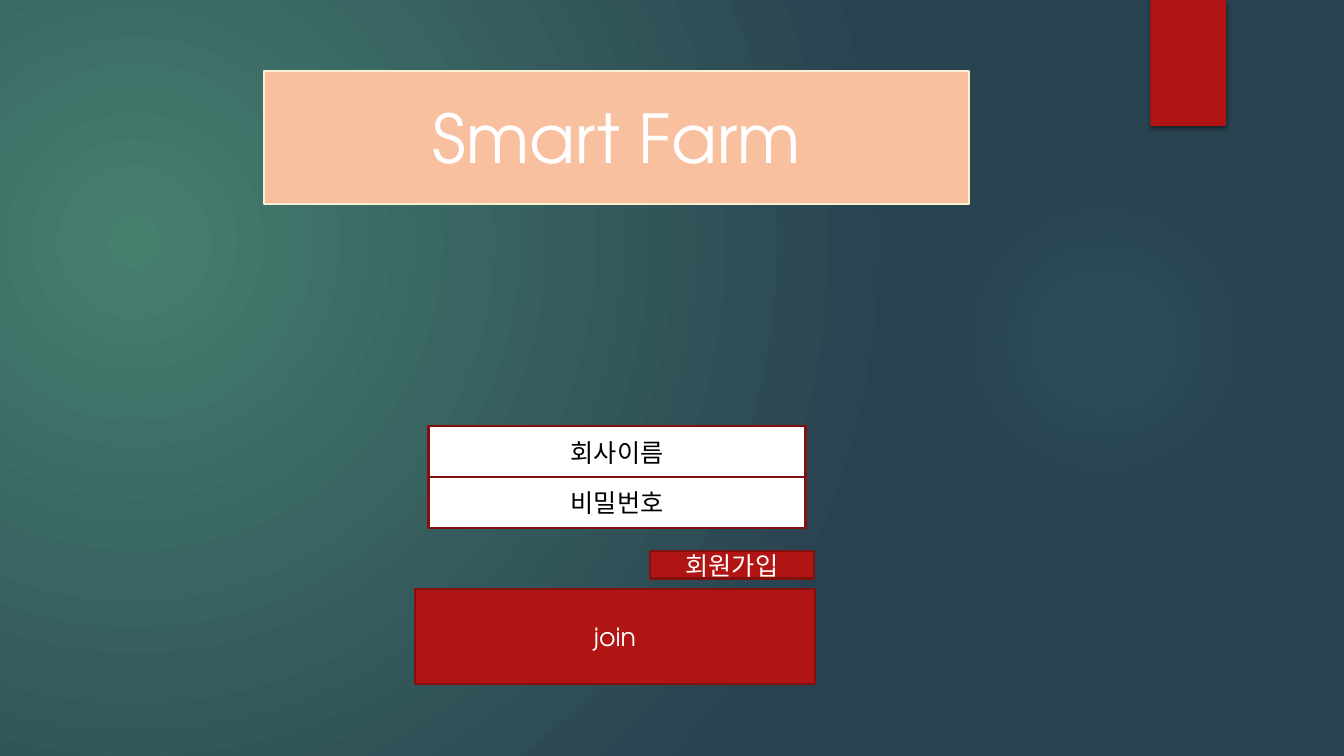
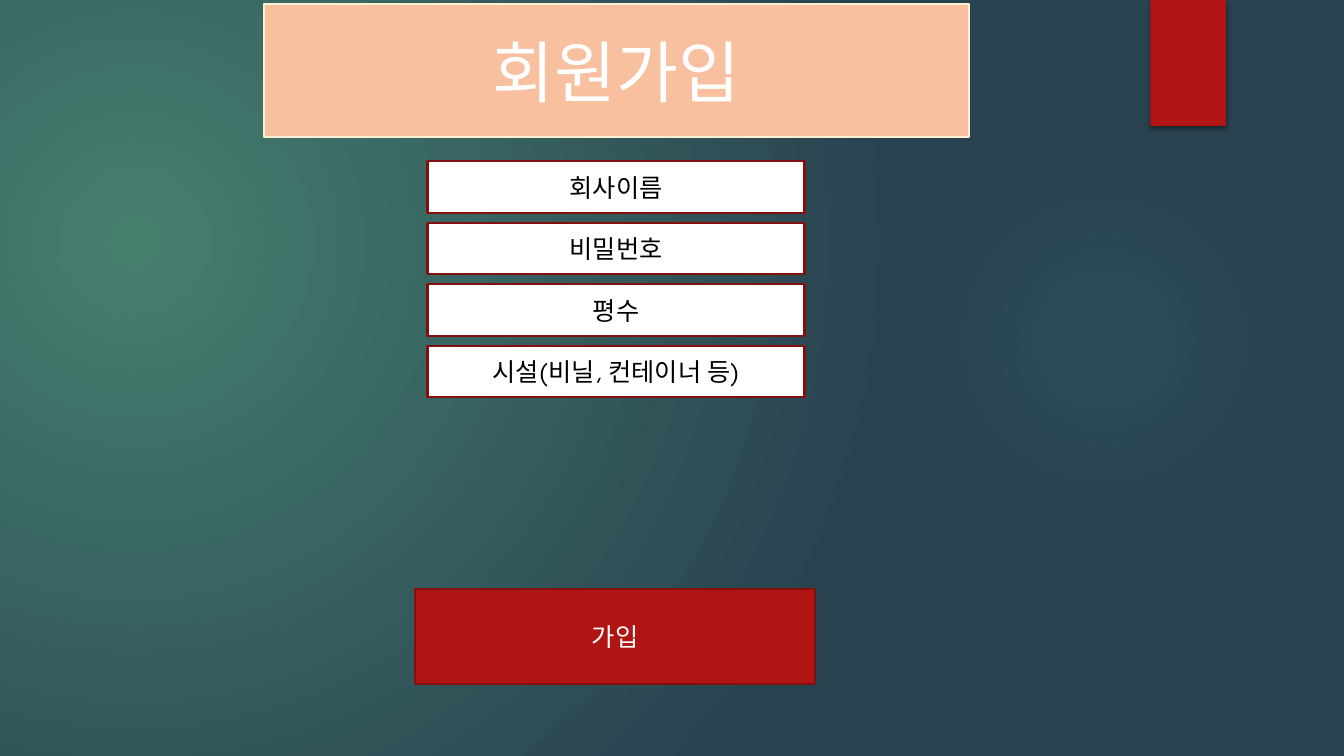
from lxml.etree import SubElement
from pptx import Presentation
from pptx.dml.color import RGBColor
from pptx.enum.shapes import MSO_SHAPE
from pptx.enum.text import MSO_ANCHOR, PP_ALIGN
from pptx.oxml.ns import qn
from pptx.util import Inches, Pt

GREEN = RGBColor(0x45, 0x7F, 0x6E)
NAVY = RGBColor(0x29, 0x42, 0x50)
AQUA = RGBColor(0x50, 0xB9, 0xC1)
RED = RGBColor(0xB0, 0x15, 0x13)
DARK_RED = RGBColor(0x82, 0x10, 0x0E)
PEACH = RGBColor(0xF8, 0xC0, 0x9F)
CREAM = RGBColor(0xFA, 0xF1, 0xD4)
WHITE = RGBColor(0xFF, 0xFF, 0xFF)
BLACK = RGBColor(0x00, 0x00, 0x00)
FONT = "TeX Gyre Adventor"

FIELD_WIDTH, FIELD_HEIGHT = 3.74, 0.51
BUTTON_BOX = (4.12, 5.84, 3.96, 0.95)


def add_color(parent, color, opacity=100):
    element = SubElement(parent, qn("a:srgbClr"), val=str(color))
    if opacity < 100:
        SubElement(element, qn("a:alpha"), val=str(opacity * 1000))


def set_radial_stops(gradient, stops, focus):
    """Refill a gradFill with (position, color, opacity) stops, all in percent."""
    for child in list(gradient):
        gradient.remove(child)
    stop_list = SubElement(gradient, qn("a:gsLst"))
    for position, color, opacity in stops:
        stop = SubElement(stop_list, qn("a:gs"), pos=str(position * 1000))
        add_color(stop, color, opacity)
    circle = SubElement(gradient, qn("a:path"), path="circle")
    edges = {side: str(value * 1000) for side, value in zip("ltrb", focus)}
    SubElement(circle, qn("a:fillToRect"), **edges)


def add_plain_shape(slide, kind, box):
    shape = slide.shapes.add_shape(kind, *map(Inches, box))
    shape.shadow.inherit = False
    shape.line.fill.background()
    return shape


def add_text_box(slide, box, text, *, fill=RED, line=DARK_RED, color=WHITE, size=18):
    """Add an outlined rectangle with centred text."""
    shape = add_plain_shape(slide, MSO_SHAPE.RECTANGLE, box)
    shape.fill.solid()
    shape.fill.fore_color.rgb = fill
    shape.line.color.rgb = line
    shape.line.width = Pt(1.5)
    frame = shape.text_frame
    frame.word_wrap = True
    frame.vertical_anchor = MSO_ANCHOR.MIDDLE
    paragraph = frame.paragraphs[0]
    paragraph.alignment = PP_ALIGN.CENTER
    run = paragraph.add_run()
    run.text = text
    run.font.name = FONT
    run.font.size = Pt(size)
    run.font.color.rgb = color


def set_background(master):
    master.background.fill.gradient()
    gradient = master.element.xpath("p:cSld/p:bg/p:bgPr/a:gradFill")[0]
    set_radial_stops(gradient, [(0, GREEN, 100), (100, NAVY, 100)], (45, 65, 125, 100))


def add_glow(slide):
    glow = add_plain_shape(slide, MSO_SHAPE.OVAL, (9.41, 1.83, 3.08, 3.08))
    glow.fill.gradient()
    gradient = glow.element.spPr.find(qn("a:gradFill"))
    set_radial_stops(gradient, [(0, AQUA, 7), (36, AQUA, 6), (69, AQUA, 0)], (50,) * 4)


def add_ribbon(slide):
    ribbon = add_plain_shape(slide, MSO_SHAPE.RECTANGLE, (11.41, 0, 0.75, 1.25))
    ribbon.fill.solid()
    ribbon.fill.fore_color.rgb = RED
    effects = ribbon.element.spPr.find(qn("a:effectLst"))
    shadow = SubElement(effects, qn("a:outerShdw"), blurRad=str(Pt(3)),
                        dist=str(Pt(2)), dir="5400000", rotWithShape="0")
    add_color(shadow, BLACK, 45)


def add_fields(slide, left, top, pitch, labels):
    """Stack white input fields whose tops lie one pitch apart."""
    for row, label in enumerate(labels):
        box = (left, top + row * pitch, FIELD_WIDTH, FIELD_HEIGHT)
        add_text_box(slide, box, label, fill=WHITE, color=BLACK)


def add_form_slide(presentation, title, title_top, button):
    """Add a slide with the shared decoration, title band and main button."""
    slide = presentation.slides.add_slide(presentation.slide_layouts[6])
    add_glow(slide)
    add_ribbon(slide)
    add_text_box(slide, (2.62, title_top, 6.99, 1.32), title,
                 fill=PEACH, line=CREAM, size=48)
    add_text_box(slide, BUTTON_BOX, button)
    return slide


def add_login_slide(presentation):
    slide = add_form_slide(presentation, "Smart Farm", 0.7, "join")
    add_fields(slide, 4.25, 4.23, 0.5, ["회사이름", "비밀번호"])
    add_text_box(slide, (6.45, 5.47, 1.62, 0.27), "회원가입")


def add_signup_slide(presentation):
    slide = add_form_slide(presentation, "회원가입", 0.04, "가입")
    add_fields(slide, 4.24, 1.6, 0.61,
               ["회사이름", "비밀번호", "평수", "시설(비닐, 컨테이너 등)"])


def main():
    presentation = Presentation()
    presentation.slide_width = Inches(13.33)
    presentation.slide_height = Inches(7.5)
    set_background(presentation.slide_master)
    add_login_slide(presentation)
    add_signup_slide(presentation)
    presentation.save("out.pptx")


if __name__ == "__main__":
    main()
